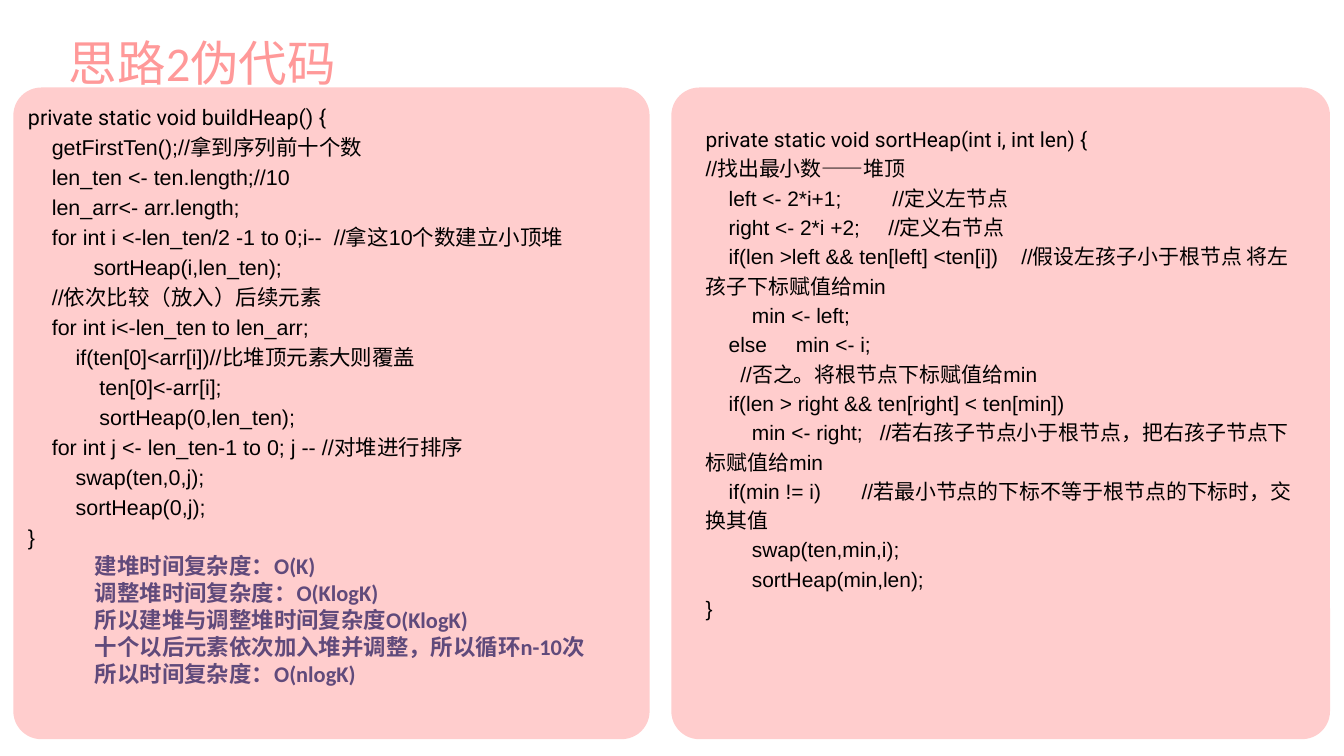
from lxml import etree
from pptx import Presentation
from pptx import util as u
from pptx.dml.color import RGBColor
from pptx.enum import shapes, text
from pptx.oxml.ns import qn

PX = 9525  # EMU per px, 96 px to the inch
THEME = {
    "panel": "FFCDCD", "title": "FF9999", "code": "000000", "notes": "604A7B",
    "title_pt": 52, "notes_pt": 24,
    "heading_font": "Calibri", "signature_font": "Roboto", "code_font": "Arial",
}


def place(sp, left, top, width, height):
    sp.left, sp.top, sp.width, sp.height = (v * PX for v in (left, top, width, height))


def style(p, font, size, color, bold=False):
    for r in p.runs:
        r.font.name, r.font.size, r.font.bold = font, u.Pt(size), bold
        r.font.color.rgb = RGBColor.from_string(color)


prs = Presentation()
prs.slide_width, prs.slide_height = 1920 * PX, 1080 * PX
s = prs.slides.add_slide(prs.slide_layouts[1])
title, notes = s.shapes.title, s.placeholders[1]

# Rounded panels, placed behind the placeholders
for i, (left, width) in enumerate([(19, 909), (959, 941)]):
    sp = s.shapes.add_shape(shapes.MSO_SHAPE.ROUNDED_RECTANGLE, 0, 0, PX, PX)
    place(sp, left, 125, width, 931)
    sp.adjustments[0] = 40 / min(width, 931)
    sp.shadow.inherit = False
    sp.fill.solid()
    sp.fill.fore_color.rgb = RGBColor.from_string(THEME["panel"])
    sp.line.fill.background()
    s.shapes._spTree.insert(2 + i, sp._element)

# Title
place(title, 66, 33, 446, 92)
tf = title.text_frame
tf.text = "思路2伪代码"
tf.margin_left = tf.margin_top = tf.margin_right = tf.margin_bottom = 0
tf.vertical_anchor = text.MSO_ANCHOR.TOP
tf.auto_size = text.MSO_AUTO_SIZE.NONE
p = tf.paragraphs[0]
p.alignment = text.PP_ALIGN.CENTER
p.line_spacing = u.Pt(72.8)
style(p, THEME["heading_font"], THEME["title_pt"], THEME["title"])

# Code listings: (line, tab stop in px of its trailing part)
BUILD_HEAP = [
    ("private static void buildHeap() {", 0),
    ("    getFirstTen();//拿到序列前十个数", 0),
    ("    len_ten <- ten.length;//10", 0),
    ("    len_arr<- arr.length;", 0),
    ("    for int i <-len_ten/2 -1 to 0;i--\t//拿这10个数建立小顶堆", 437),
    ("           sortHeap(i,len_ten);", 0),
    ("    //依次比较（放入）后续元素", 0),
    ("    for int i<-len_ten to len_arr;", 0),
    ("        if(ten[0]<arr[i])//比堆顶元素大则覆盖", 0),
    ("            ten[0]<-arr[i];", 0),
    ("            sortHeap(0,len_ten);", 0),
    ("    for int j <- len_ten-1 to 0; j -- //对堆进行排序", 0),
    ("        swap(ten,0,j);", 0),
    ("        sortHeap(0,j);", 0),
    ("}", 0),
]
SORT_HEAP = [
    ("private static void sortHeap(int i, int len) {", 0),
    ("//找出最小数——堆顶", 0),
    ("    left <- 2*i+1;\t//定义左节点", 267),
    ("    right <- 2*i +2;\t//定义右节点", 261),
    ("    if(len >left && ten[left] <ten[i])\t//假设左孩子小于根节点 将左孩子下标赋值给min", 451),
    ("        min <- left;", 0),
    ("    else\tmin <- i;", 129),
    ("      //否之。将根节点下标赋值给min", 0),
    ("    if(len > right && ten[right] < ten[min])", 0),
    ("        min <- right;\t//若右孩子节点小于根节点，把右孩子节点下标赋值给min", 249),
    ("    if(min != i)\t//若最小节点的下标不等于根节点的下标时，交换其值", 223),
    ("        swap(ten,min,i);", 0),
    ("        sortHeap(min,len);", 0),
    ("}", 0),
]
LISTINGS = [
    (BUILD_HEAP, (40, 142, 829, 642), 23, 32.2),
    (SORT_HEAP, (1008, 175, 850, 706), 22.4, 31.4),
]
for lines, box, size, leading in LISTINGS:
    sp = s.shapes.add_textbox(0, 0, PX, PX)
    place(sp, *box)
    tf = sp.text_frame
    tf.word_wrap = True
    tf.margin_left = tf.margin_top = tf.margin_right = tf.margin_bottom = 0
    tf.text = "\n".join(line for line, tab in lines)
    for i, (p, (line, tab)) in enumerate(zip(tf.paragraphs, lines)):
        p.line_spacing = u.Pt(leading)
        if tab:
            tabs = etree.SubElement(p._p.get_or_add_pPr(), qn("a:tabLst"))
            etree.SubElement(tabs, qn("a:tab"), pos=str(tab * PX), algn="l")
        font = THEME["code_font"] if i else THEME["signature_font"]
        style(p, font, size, THEME["code"])

# Complexity notes
place(notes, 126, 784, 744, 204)
tf = notes.text_frame
tf.auto_size = text.MSO_AUTO_SIZE.NONE
tf.text = "\n".join([
    "建堆时间复杂度：O(K)",
    "调整堆时间复杂度：O(KlogK)",
    "所以建堆与调整堆时间复杂度O(KlogK)",
    "十个以后元素依次加入堆并调整，所以循环n-10次",
    "所以时间复杂度：O(nlogK)",
])
for p in tf.paragraphs:
    p.space_before = u.Pt(0)
    pPr = p._p.get_or_add_pPr()
    pPr.set("marL", "0")
    pPr.set("indent", "0")
    etree.SubElement(pPr, qn("a:buNone"))
    style(p, THEME["heading_font"], THEME["notes_pt"], THEME["notes"], bold=True)

prs.save("out.pptx")
